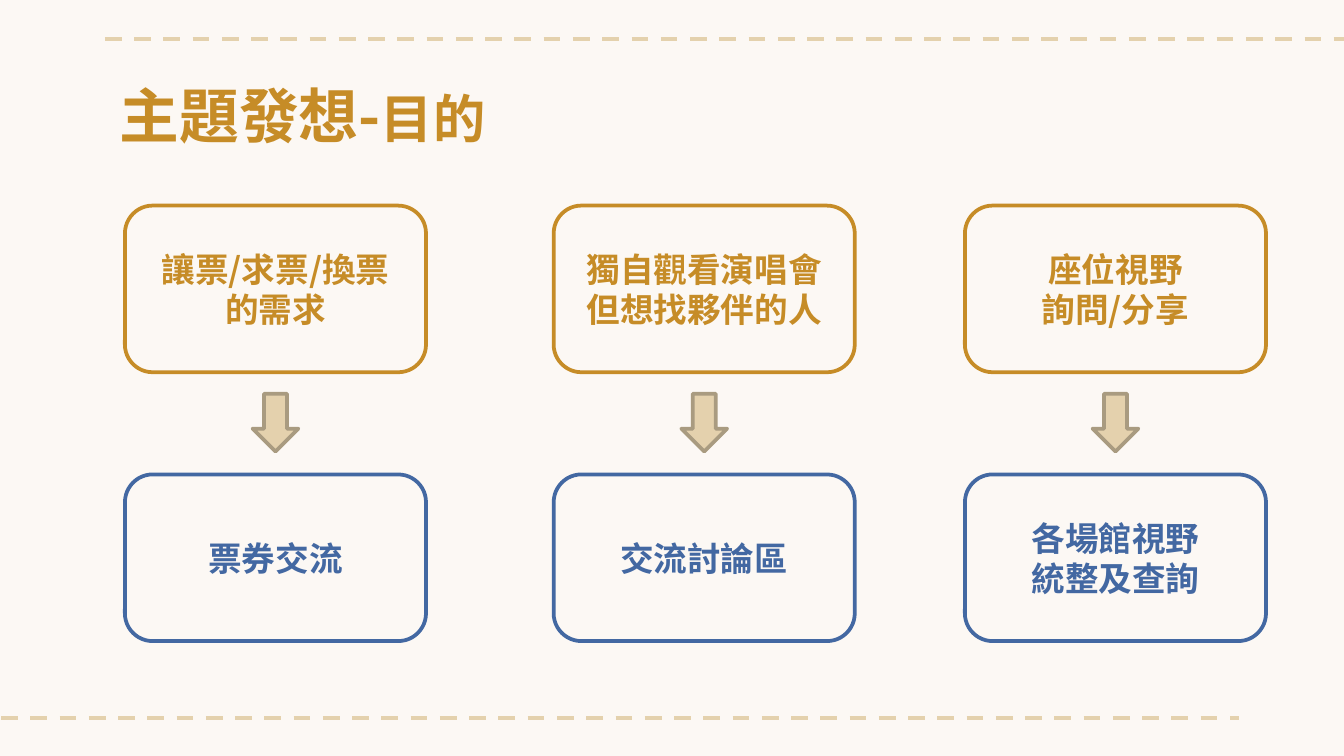
"""Build the slide that pairs three audience needs with three features."""
from dataclasses import dataclass
from typing import NamedTuple

from lxml import etree
from pptx import Presentation
from pptx import util as u
from pptx.dml.color import RGBColor
from pptx.enum import dml, shapes, text
from pptx.oxml import ns


@dataclass(frozen=True)
class Theme:
    font: str = "Noto Sans CJK SC"
    background: str = "FCF8F4"
    gold: str = "C68C27"
    blue: str = "4368A2"
    sand: str = "E4D1AD"
    sand_edge: str = "A99B80"
    title_size: float = 32
    subtitle_size: float = 28
    body_size: float = 18
    title_leading: float = 38
    body_leading: float = 21.6
    outline: float = 2
    dash: float = 2.25


class Area(NamedTuple):
    left: float
    top: float
    width: float
    height: float


class Column(NamedTuple):
    left: float
    need: str
    feature: str


class Rule(NamedTuple):
    start: float
    end: float
    top: float


THEME = Theme()
WIDTH = u.Inches(10)
HEIGHT = WIDTH * 9 // 16
TITLE = Area(7.9, 8.71, 84.3, 11.2)
RULES = [Rule(-2.1, 92.2, 94.93), Rule(7.8, 102.1, 5.16)]
COLUMNS = [
    Column(9.3, "讓票/求票/換票的需求", "票券交流"),
    Column(41.2, "獨自觀看演唱會但想找夥伴的人", "交流討論區"),
    Column(71.8, "座位視野\n詢問/分享", "各場館視野\n統整及查詢"),
]
NEED_TOP, ARROW_TOP, FEATURE_TOP = 27.2, 52.09, 62.76
CARD_WIDTH, CARD_HEIGHT = 22.4, 22.04
ARROW_WIDTH, ARROW_HEIGHT = 3.4, 7.64


def across(percent: float) -> int:
    """Turn a share of the slide's width into a length."""
    return round(WIDTH * percent / 100)


def down(percent: float) -> int:
    """Turn a share of the slide's height into a length."""
    return round(HEIGHT * percent / 100)


def place(area: Area) -> tuple[int, int, int, int]:
    """Turn slide shares into left, top, width and height."""
    return across(area.left), down(area.top), across(area.width), down(area.height)


def format_run(run, size: float, color: str) -> None:
    """Give a run the theme's bold face in a size and colour."""
    run.font.size = u.Pt(size)
    run.font.bold = True
    run.font.name = THEME.font
    run.font.color.rgb = RGBColor.from_string(color)
    east_asian = etree.SubElement(run._r.get_or_add_rPr(), ns.qn("a:ea"))
    east_asian.set("typeface", THEME.font)


def draw_shape(slide, kind, area: Area, line: str, fill: str | None = None):
    """Add an outlined preset shape without a shadow."""
    shape = slide.shapes.add_shape(kind, *place(area))
    shape.shadow.inherit = False
    shape.line.color.rgb = RGBColor.from_string(line)
    shape.line.width = u.Pt(THEME.outline)
    if fill:
        shape.fill.solid()
        shape.fill.fore_color.rgb = RGBColor.from_string(fill)
    else:
        shape.fill.background()
    return shape


def draw_card(slide, left: float, top: float, wording: str, color: str) -> None:
    """Add a rounded card with centred text in its outline colour."""
    area = Area(left, top, CARD_WIDTH, CARD_HEIGHT)
    shape = draw_shape(slide, shapes.MSO_SHAPE.ROUNDED_RECTANGLE, area, color)
    frame = shape.text_frame
    frame.text = wording
    frame.word_wrap = True
    frame.vertical_anchor = text.MSO_ANCHOR.MIDDLE
    for paragraph in frame.paragraphs:
        paragraph.alignment = text.PP_ALIGN.CENTER
        paragraph.line_spacing = u.Pt(THEME.body_leading)
        for run in paragraph.runs:
            format_run(run, THEME.body_size, color)


def draw_column(slide, column: Column) -> None:
    """Add a need, its arrow and the feature that answers it."""
    draw_card(slide, column.left, NEED_TOP, column.need, THEME.gold)
    draw_card(slide, column.left, FEATURE_TOP, column.feature, THEME.blue)
    arrow_left = column.left + (CARD_WIDTH - ARROW_WIDTH) / 2
    area = Area(arrow_left, ARROW_TOP, ARROW_WIDTH, ARROW_HEIGHT)
    draw_shape(slide, shapes.MSO_SHAPE.DOWN_ARROW, area, THEME.sand_edge, THEME.sand)


def draw_rule(slide, rule: Rule) -> None:
    """Add a dashed horizontal rule."""
    connector = slide.shapes.add_connector(
        shapes.MSO_CONNECTOR.STRAIGHT,
        across(rule.start), down(rule.top), across(rule.end), down(rule.top))
    connector.line.color.rgb = RGBColor.from_string(THEME.sand)
    connector.line.width = u.Pt(THEME.dash)
    connector.line.dash_style = dml.MSO_LINE.DASH
    etree.SubElement(connector._element.spPr, ns.qn("a:effectLst"))


def write_title(slide) -> None:
    """Move the title placeholder and set its two sizes of text."""
    title = slide.shapes.title
    title.left, title.top, title.width, title.height = place(TITLE)
    frame = title.text_frame
    frame.auto_size = text.MSO_AUTO_SIZE.NONE
    frame.vertical_anchor = text.MSO_ANCHOR.TOP
    frame.margin_left = frame.margin_right = u.Inches(0.1)
    frame.margin_top = frame.margin_bottom = u.Inches(0.1)
    paragraph = frame.paragraphs[0]
    paragraph.text = "主題發想-"
    paragraph.add_run().text = "目的"
    paragraph.alignment = text.PP_ALIGN.LEFT
    paragraph.line_spacing = u.Pt(THEME.title_leading)
    for run, size in zip(paragraph.runs, (THEME.title_size, THEME.subtitle_size)):
        format_run(run, size, THEME.gold)


def main() -> None:
    """Build and save the presentation."""
    presentation = Presentation()
    presentation.slide_width, presentation.slide_height = WIDTH, HEIGHT
    slide = presentation.slides.add_slide(presentation.slide_layouts[5])
    slide.background.fill.solid()
    slide.background.fill.fore_color.rgb = RGBColor.from_string(THEME.background)
    write_title(slide)
    for rule in RULES:
        draw_rule(slide, rule)
    for column in COLUMNS:
        draw_column(slide, column)
    presentation.save("out.pptx")


if __name__ == "__main__":
    main()
